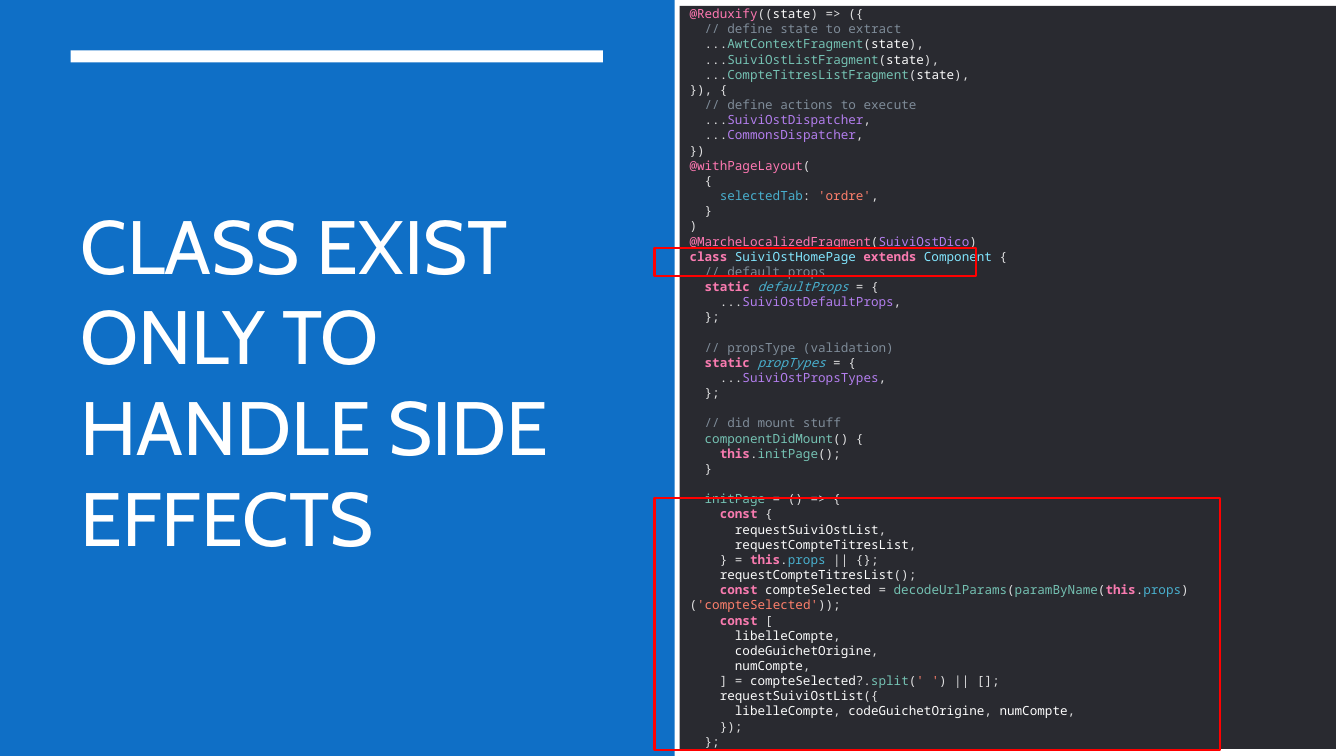
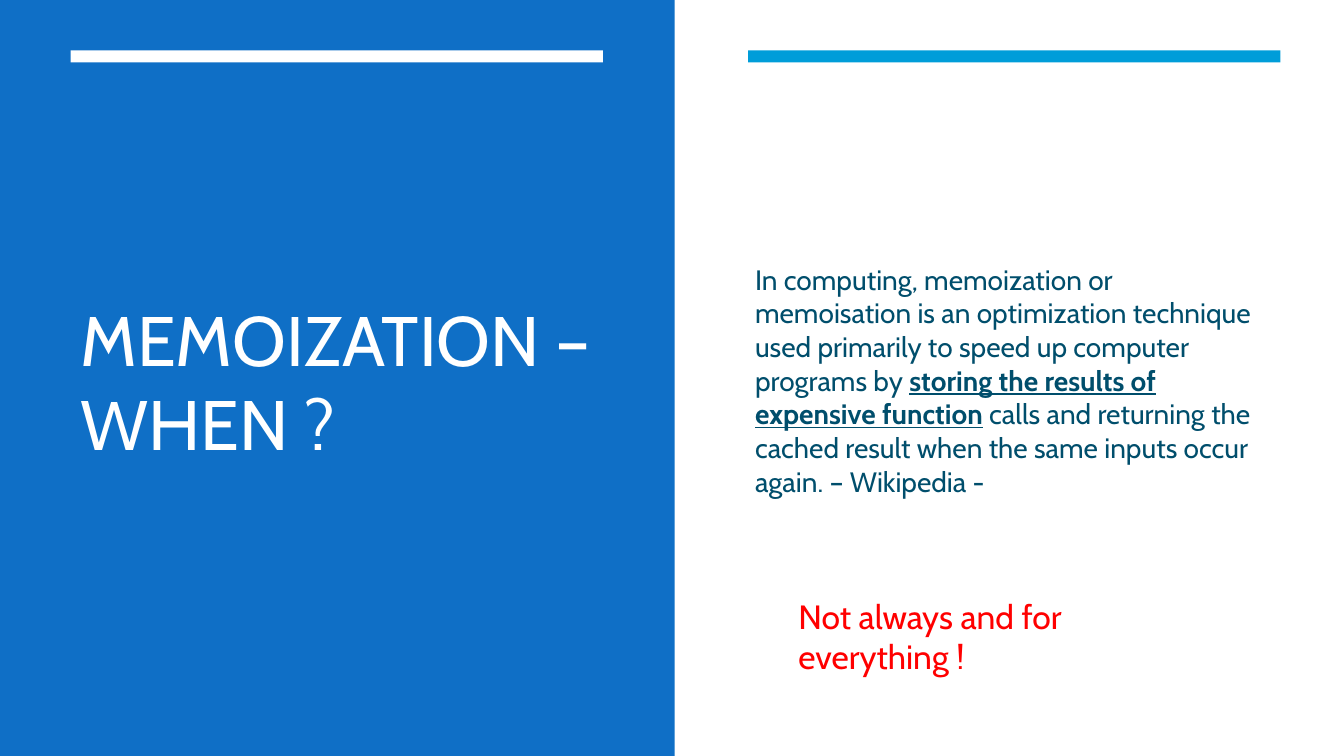
from lxml import etree
from pptx import Presentation
from pptx import util as u
from pptx.dml.color import RGBColor
from pptx.enum import shapes, text
from pptx.oxml import ns

PX = 9144
PAGE_WIDTH, PAGE_HEIGHT = 1333, 750
BAND_WIDTH = 669
RULE_TOP, RULE_WIDTH, RULE_HEIGHT = 50, 528, 12
LEFT_RULE, RIGHT_RULE = 70, 742
BODY_TOP, BODY_HEIGHT = 113, 528

WHITE = RGBColor(0xFF, 0xFF, 0xFF)
BLUE = RGBColor(0x0F, 0x6F, 0xC6)
CYAN = RGBColor(0x00, 0x9D, 0xD9)
NAVY = RGBColor(0x00, 0x4E, 0x6C)
RED = RGBColor(0xFF, 0x00, 0x00)
CODE_BACK = RGBColor(0x29, 0x2A, 0x30)
CODE_PLAIN = RGBColor(0xDF, 0xDF, 0xE0)
CODE_PINK = RGBColor(0xFF, 0x78, 0xB2)
CODE_KEYWORD = RGBColor(0xF9, 0x7B, 0xB0)
CODE_NAME = RGBColor(0xFC, 0xFC, 0xFC)
CODE_COMMENT = RGBColor(0x7F, 0x8C, 0x99)
CODE_GREEN = RGBColor(0x75, 0xC2, 0xB3)
CODE_PURPLE = RGBColor(0xB3, 0x7E, 0xEE)
CODE_BLUE = RGBColor(0x49, 0xB0, 0xCE)
CODE_STRING = RGBColor(0xFF, 0x80, 0x6C)
CODE_TYPE = RGBColor(0x82, 0xE6, 0xFF)

SANS, MONO = "Cabin", "Noto Sans Mono"
CODE_SIZE = 9

CODE_STYLES = {
    "d": {"color": CODE_PINK},
    "k": {"color": CODE_KEYWORD, "bold": True},
    "n": {"color": CODE_NAME},
    "c": {"color": CODE_COMMENT},
    "f": {"color": CODE_GREEN},
    "o": {"color": CODE_PURPLE},
    "p": {"color": CODE_BLUE},
    "i": {"color": CODE_BLUE, "italic": True},
    "s": {"color": CODE_STRING},
    "t": {"color": CODE_TYPE},
}

CODE_LINES = [
    "⟦d:@Reduxify⟧((⟦n:state⟧) => ({",
    "  ⟦c:// define state to extract⟧",
    "  ...⟦f:AwtContextFragment⟧(⟦n:state⟧),",
    "  ...⟦f:SuiviOstListFragment⟧(⟦n:state⟧),",
    "  ...⟦f:CompteTitresListFragment⟧(⟦n:state⟧),",
    "}), {",
    "  ⟦c:// define actions to execute⟧",
    "  ...⟦o:SuiviOstDispatcher⟧,",
    "  ...⟦o:CommonsDispatcher⟧,",
    "})",
    "⟦d:@withPageLayout⟧(",
    "  {",
    "    ⟦p:selectedTab⟧: ⟦s:'ordre'⟧,",
    "  }",
    ")",
    "⟦d:@MarcheLocalizedFragment⟧(⟦o:SuiviOstDico⟧)",
    "⟦k:class ⟧⟦t:SuiviOstHomePage ⟧⟦k:extends ⟧⟦t:Component ⟧{",
    "  ⟦c:// default props⟧",
    "  ⟦k:static ⟧⟦i:defaultProps ⟧= {",
    "    ...⟦o:SuiviOstDefaultProps⟧,",
    "  };",
    "",
    "  ⟦c:// propsType (validation)⟧",
    "  ⟦k:static ⟧⟦i:propTypes ⟧= {",
    "    ...⟦o:SuiviOstPropsTypes⟧,",
    "  };",
    "",
    "  ⟦c:// did mount stuff⟧",
    "  ⟦f:componentDidMount⟧() {",
    "    ⟦k:this⟧.⟦f:initPage⟧();",
    "  }",
    "",
    "  ⟦f:initPage ⟧= () => {",
    "    ⟦k:const ⟧{",
    "      ⟦n:requestSuiviOstList⟧,",
    "      ⟦n:requestCompteTitresList⟧,",
    "    } = ⟦k:this⟧.⟦p:props ⟧|| {};",
    "    ⟦n:requestCompteTitresList⟧();",
    "    ⟦k:const ⟧⟦n:compteSelected ⟧= ⟦f:decodeUrlParams⟧(⟦f:paramByName⟧(⟦k:this⟧.⟦p:props⟧)(⟦s:'compteSelected'⟧));",
    "    ⟦k:const ⟧[",
    "      ⟦n:libelleCompte⟧,",
    "      ⟦n:codeGuichetOrigine⟧,",
    "      ⟦n:numCompte⟧,",
    "    ] = ⟦n:compteSelected⟧?.⟦f:split⟧(⟦s:' '⟧) || [];",
    "    ⟦n:requestSuiviOstList⟧({",
    "      ⟦n:libelleCompte⟧, ⟦n:codeGuichetOrigine⟧, ⟦n:numCompte⟧,",
    "    });",
    "  };",
]


def to_emu(*lengths):
    return [u.Emu(length * PX) for length in lengths]


def add_span(para, wording, color, **formats):
    span = para.add_run()
    span.text = wording
    span.font.color.rgb = color
    for name, value in formats.items():
        setattr(span.font, name, value)


def add_rect(page, place, fill=None, line=None):
    rect = page.shapes.add_shape(shapes.MSO_SHAPE.RECTANGLE, *to_emu(*place))
    rect.shadow.inherit = False
    if fill is None:
        rect.fill.background()
    else:
        rect.fill.solid()
        rect.fill.fore_color.rgb = fill
    if line is None:
        rect.line.fill.background()
    else:
        rect.line.color.rgb = line
        rect.line.width = u.Pt(1.75)
    return rect


def set_frame(shape, anchor):
    frame = shape.text_frame
    for name, value in {"word_wrap": True, "vertical_anchor": anchor}.items():
        setattr(frame, name, value)
    return frame.paragraphs[0]


def add_text(page, place, size, color, spans, anchor=text.MSO_ANCHOR.MIDDLE):
    para = set_frame(page.shapes.add_textbox(*to_emu(*place)), anchor)
    for wording, formats in spans:
        add_span(para, wording, color, size=u.Pt(size), name=SANS, **formats)


def split_code(line):
    for part in line.split("⟦"):
        marked, end, plain = part.partition("⟧")
        if end:
            style, _, wording = marked.partition(":")
            yield wording, CODE_STYLES[style]
        else:
            plain = part
        if plain:
            yield plain, {"color": CODE_PLAIN}


def add_line_break(para):
    para.add_line_break()
    line_break = para._p.findall(ns.qn("a:br"))[-1]
    props = etree.SubElement(line_break, ns.qn("a:rPr"), sz=str(CODE_SIZE * 100))
    etree.SubElement(props, ns.qn("a:latin"), typeface=MONO)


def add_code(page, place, lines):
    para = set_frame(add_rect(page, place, fill=CODE_BACK), text.MSO_ANCHOR.MIDDLE)
    para.alignment = text.PP_ALIGN.LEFT
    for number, line in enumerate(lines):
        if number:
            add_line_break(para)
        for wording, style in split_code(line):
            add_span(para, wording, size=u.Pt(CODE_SIZE), name=MONO, **style)


def add_rule(page, left, color):
    add_rect(page, (left, RULE_TOP, RULE_WIDTH, RULE_HEIGHT), fill=color)


def add_page(deck, title, size):
    page = deck.slides.add_slide(deck.slide_layouts[6])
    add_rect(page, (0, 0, BAND_WIDTH, PAGE_HEIGHT), fill=BLUE)
    add_text(page, (LEFT_RULE, BODY_TOP, RULE_WIDTH, BODY_HEIGHT), size, WHITE, [(title, {})])
    add_rule(page, LEFT_RULE, WHITE)
    return page


def build_class_page(deck):
    page = add_page(deck, "CLASS EXIST ONLY TO HANDLE SIDE EFFECTS", 54)
    add_code(page, (674, 6, 651, 737), CODE_LINES)
    for top, width, height in ((246, 319, 28), (494, 561, 250)):
        add_rect(page, (649, top, width, height), line=RED)


def build_memoization_page(deck):
    page = add_page(deck, "MEMOIZATION – WHEN ?", 50)
    add_rule(page, RIGHT_RULE, CYAN)
    add_text(page, (739, BODY_TOP, 531, BODY_HEIGHT), 20, NAVY, [
        ("In computing, memoization or memoisation is an optimization technique "
         "used primarily to speed up computer programs by ", {}),
        ("storing the results of expensive function", {"bold": True, "underline": True}),
        (" calls and returning the cached result when the same inputs occur again. "
         "– Wikipedia -", {}),
    ])
    add_text(page, (782, 586, 420, 50), 24, RED,
             [("Not always and for everything !", {})], text.MSO_ANCHOR.TOP)


def main():
    deck = Presentation()
    deck.slide_width, deck.slide_height = to_emu(PAGE_WIDTH, PAGE_HEIGHT)
    build_class_page(deck)
    build_memoization_page(deck)
    deck.save("out.pptx")


if __name__ == "__main__":
    main()
